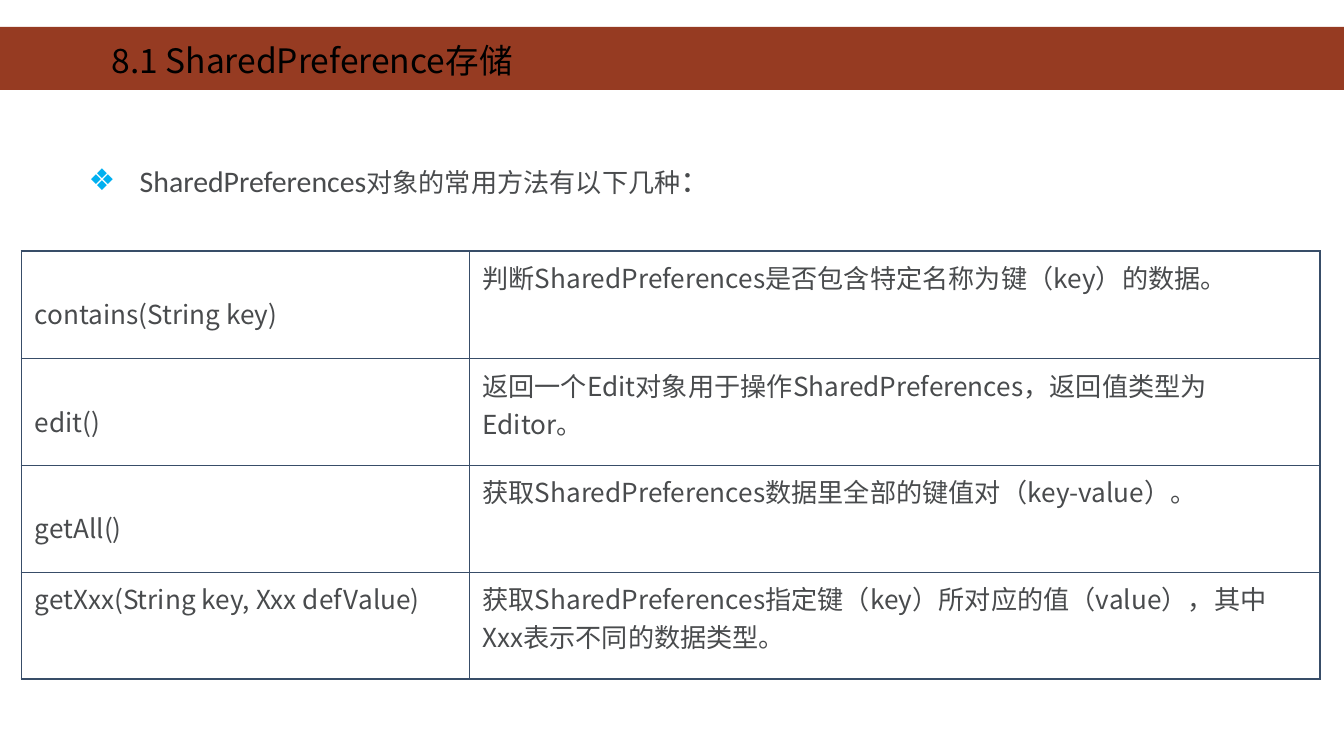
from dataclasses import dataclass

import lxml.etree
import pptx
import pptx.dml.color
import pptx.enum.shapes
import pptx.enum.text
import pptx.oxml.ns
import pptx.util

Inches = pptx.util.Inches
qn = pptx.oxml.ns.qn


@dataclass(frozen=True)
class Theme:
    band: str = "963B22"
    title: str = "000000"
    text: str = "494B4D"
    bullet: str = "00B0F0"
    border: str = "384D68"
    latin: str = "Calibri"
    cjk: str = "Noto Sans CJK SC"
    title_size: float = 18
    lead_size: float = 16
    text_size: float = 14
    outer_line: float = 1.08
    inner_line: float = 0.45


@dataclass(frozen=True)
class Method:
    signature: str
    description: str
    height: float
    signature_top: float = 0.32


THEME = Theme()
PAGE_WIDTH = 10
PAGE_HEIGHT = PAGE_WIDTH * 9 / 16
COLUMN_WIDTHS = (3.33, 6.33)
METHODS = (
    Method("contains(String key)", "判断SharedPreferences是否包含特定名称为键（key）的数据。", 0.8),
    Method("edit()", "返回一个Edit对象用于操作SharedPreferences，返回值类型为Editor。", 0.79),
    Method("getAll()", "获取SharedPreferences数据里全部的键值对（key-value）。", 0.8),
    Method("getXxx(String key, Xxx defValue)",
           "获取SharedPreferences指定键（key）所对应的值（value），其中Xxx表示不同的数据类型。",
           0.79, signature_top=0.05),
)


def rgb(value: str) -> pptx.dml.color.RGBColor:
    return pptx.dml.color.RGBColor.from_string(value)


def add_text(para, text: str, *, size: float = THEME.text_size,
             font: str = THEME.cjk, color: str = THEME.text) -> None:
    """Append a formatted span, with one font for Latin and Chinese."""
    span = para.add_run()
    span.text = text
    span.font.size = pptx.util.Pt(size)
    span.font.name = font
    span.font.color.rgb = rgb(color)
    latin = span.font._element.find(qn("a:latin"))
    east_asian = lxml.etree.Element(qn("a:ea"), typeface=font)
    latin.addnext(east_asian)


def prepare_placeholder(box, left: float, top: float, width: float, height: float,
                        *, wrap: bool = True):
    """Place a placeholder and return its first paragraph."""
    box.left, box.top, box.width, box.height = map(Inches, (left, top, width, height))
    frame = box.text_frame
    frame.word_wrap = wrap
    frame.auto_size = pptx.enum.text.MSO_AUTO_SIZE.NONE
    frame.vertical_anchor = pptx.enum.text.MSO_ANCHOR.TOP
    para = frame.paragraphs[0]
    para.alignment = pptx.enum.text.PP_ALIGN.LEFT
    para.space_before = pptx.util.Pt(0)
    return para


def add_bullet(para, char: str, color: str, indent: float) -> None:
    properties = para._element.get_or_add_pPr()
    properties.set("marL", str(Inches(indent)))
    properties.set("indent", str(-Inches(indent)))
    bullet_color = lxml.etree.SubElement(properties, qn("a:buClr"))
    lxml.etree.SubElement(bullet_color, qn("a:srgbClr"), val=color)
    lxml.etree.SubElement(properties, qn("a:buChar"), char=char)


def set_borders(cell, widths: dict[str, float]) -> None:
    """Draw cell borders; keys come in the order L, R, T, B."""
    properties = cell._tc.get_or_add_tcPr()
    for position, (side, width) in enumerate(widths.items()):
        line = lxml.etree.Element(qn(f"a:ln{side}"), w=str(pptx.util.Pt(width)))
        fill = lxml.etree.SubElement(line, qn("a:solidFill"))
        lxml.etree.SubElement(fill, qn("a:srgbClr"), val=THEME.border)
        properties.insert(position, line)


def add_method_table(page, left: float, top: float) -> None:
    last_row, last_column = len(METHODS) - 1, len(COLUMN_WIDTHS) - 1
    table = page.shapes.add_table(
        len(METHODS), len(COLUMN_WIDTHS), Inches(left), Inches(top),
        Inches(sum(COLUMN_WIDTHS)), Inches(sum(m.height for m in METHODS))).table
    table.first_row = table.horz_banding = False
    for column, width in zip(table.columns, COLUMN_WIDTHS):
        column.width = Inches(width)
    for r, method in enumerate(METHODS):
        table.rows[r].height = Inches(method.height)
        contents = ((method.signature, method.signature_top), (method.description, 0.05))
        for c, (text, margin_top) in enumerate(contents):
            cell = table.cell(r, c)
            cell.margin_top = Inches(margin_top)
            cell.fill.background()
            edges = {"L": c == 0, "R": c == last_column, "T": r == 0, "B": r == last_row}
            set_borders(cell, {side: THEME.outer_line if outer else THEME.inner_line
                               for side, outer in edges.items()})
            add_text(cell.text_frame.paragraphs[0], text)


def main() -> None:
    deck = pptx.Presentation()
    deck.slide_width, deck.slide_height = Inches(PAGE_WIDTH), Inches(PAGE_HEIGHT)
    page = deck.slides.add_slide(deck.slide_layouts[1])
    title, body = page.shapes.title, page.placeholders[1]

    # Title band, behind the title
    band = page.shapes.add_shape(pptx.enum.shapes.MSO_SHAPE.RECTANGLE,
                                 0, Inches(0.2), deck.slide_width, Inches(0.47))
    band.shadow.inherit = False
    band.fill.solid()
    band.fill.fore_color.rgb = rgb(THEME.band)
    band.line.fill.background()
    title._element.addprevious(band._element)

    # Title
    para = prepare_placeholder(title, 0.73, 0.25, 3.29, 0.4, wrap=False)
    add_text(para, "8.1 SharedPreference存储", size=THEME.title_size, color=THEME.title)

    # Lead sentence
    para = prepare_placeholder(body, 0.56, 1.16, 4.99, 0.55)
    add_bullet(para, "❖", THEME.bullet, 0.38)
    add_text(para, "SharedPreferences", size=THEME.lead_size, font=THEME.latin)
    add_text(para, "对象的常用方法有以下几种")
    add_text(para, "：", size=THEME.lead_size, font=THEME.latin)

    # Methods and what they do
    add_method_table(page, 0.16, 1.87)
    deck.save("out.pptx")


if __name__ == "__main__":
    main()
